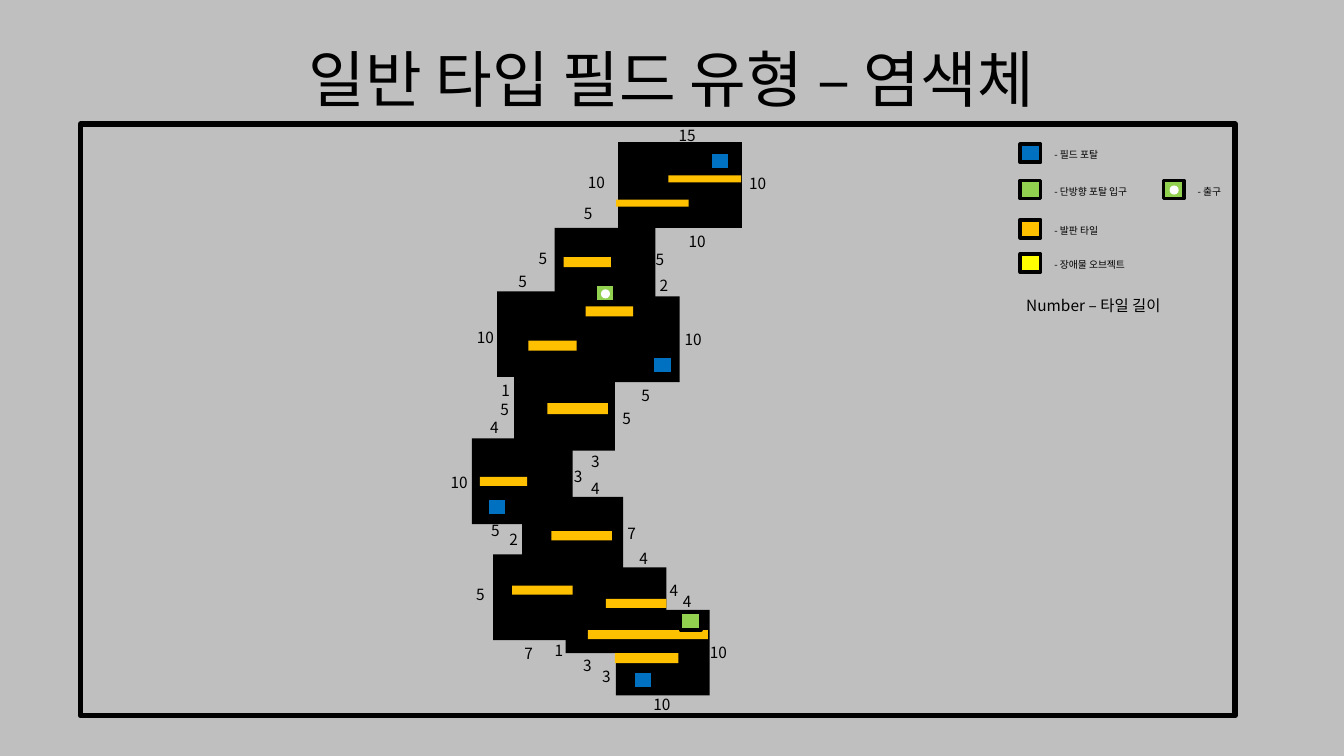
from dataclasses import dataclass

from lxml import etree
from pptx import Presentation
from pptx.dml.color import RGBColor
from pptx.enum.shapes import MSO_SHAPE
from pptx.enum.text import MSO_ANCHOR, MSO_AUTO_SIZE, PP_ALIGN
from pptx.oxml.ns import qn
from pptx.util import Inches, Pt

RECT, OVAL = MSO_SHAPE.RECTANGLE, MSO_SHAPE.OVAL
LEFT, MID = PP_ALIGN.LEFT, PP_ALIGN.CENTER
TOP, CENTER = MSO_ANCHOR.TOP, MSO_ANCHOR.MIDDLE
NO_FIT = MSO_AUTO_SIZE.NONE


@dataclass(frozen=True)
class Theme:
    font: str = "Noto Sans CJK KR"
    back: str = "BFBFBF"
    ink: str = "000000"
    portal: str = "0070C0"
    gate: str = "92D050"
    step: str = "FFC000"
    block: str = "FFFF00"
    dot: str = "FFFFFF"
    head: float = 44
    label: float = 11
    small: float = 7
    frame: float = 4
    edge: float = 2.75


THEME = Theme()

# Left, top, width, height within the map
ROOMS = [
    (2.13, 0.41, 1.23, 0.85), (1.5, 1.26, 1, 0.85), (1.74, 1.94, 1, 0.85),
    (1.1, 2.62, 1, 0.85), (0.68, 3.35, 1, 0.85), (1.18, 3.93, 1, 0.85),
    (1.61, 4.63, 1, 0.85), (2.11, 5.05, 0.93, 0.85),
    (0.93, 1.89, 0.93, 0.85), (0.89, 4.5, 1, 0.85),
]
STEPS = [
    (2.63, 0.74, 0.72, 0.07), (2.11, 0.98, 0.72, 0.07),
    (1.59, 1.55, 0.47, 0.1), (1.81, 2.04, 0.47, 0.1),
    (1.24, 2.38, 0.48, 0.1), (1.43, 3, 0.6, 0.11),
    (0.76, 3.73, 0.47, 0.09), (1.47, 4.27, 0.6, 0.09),
    (1.08, 4.81, 0.6, 0.09), (2.01, 4.94, 0.6, 0.09),
    (1.83, 5.25, 1.19, 0.09), (2.1, 5.48, 0.63, 0.1),
]
# Tile length, left, top within the map
SIZES = [
    (15, 2.63, 0.2), (10, 1.73, 0.67), (10, 3.33, 0.68), (5, 1.65, 0.98),
    (10, 2.73, 1.25), (5, 1.2, 1.42), (5, 2.36, 1.43), (5, 1, 1.65),
    (2, 2.4, 1.69), (10, 0.63, 2.21), (10, 2.69, 2.23), (1, 0.83, 2.73),
    (5, 2.22, 2.78), (5, 0.82, 2.92), (5, 2.03, 3.01), (4, 0.72, 3.1),
    (3, 1.72, 3.44), (3, 1.55, 3.58), (10, 0.37, 3.64), (4, 1.72, 3.7),
    (5, 0.73, 4.12), (7, 2.08, 4.15), (2, 0.91, 4.21), (4, 2.2, 4.4),
    (4, 2.5, 4.72), (5, 0.58, 4.76), (4, 2.63, 4.82), (1, 1.36, 5.31),
    (10, 2.94, 5.33), (7, 1.06, 5.34), (3, 1.64, 5.46), (3, 1.83, 5.57),
    (10, 2.38, 5.85),
]
PORTALS = [(3.04, 0.51), (2.47, 2.53), (0.83, 3.94), (2.28, 5.66)]
ENTRY, EXIT = (2.75, 5.07), (1.9, 1.82)


def rgb(code):
    return RGBColor.from_string(code)


def shape(parts, box, fill=None, line=None, width=0, kind=RECT):
    item = parts.add_shape(kind, *map(Inches, box))
    item.shadow.inherit = False
    if fill:
        item.fill.solid()
        item.fill.fore_color.rgb = rgb(fill)
    else:
        item.fill.background()
    if line:
        item.line.color.rgb = rgb(line)
        item.line.width = Pt(width)
    else:
        item.line.fill.background()
    return item


def write(item, text, size=THEME.label, align=LEFT, anchor=TOP, space=None):
    frame = item.text_frame
    frame.word_wrap = True
    frame.auto_size = NO_FIT
    frame.vertical_anchor = anchor
    para = frame.paragraphs[0]
    para.alignment = align
    para.line_spacing = space
    run = para.add_run()
    run.text = text
    run.font.name = THEME.font
    run.font.size = Pt(size)
    run.font.color.rgb = rgb(THEME.ink)
    etree.SubElement(run.font._element, qn("a:ea"), typeface=THEME.font)


def note(parts, box, text, **style):
    write(parts.add_textbox(*map(Inches, box)), text, **style)


def mark(parts, left, top, fill, dot=False):
    """Draw a framed tile, with a white dot if it is an exit."""
    shape(parts, (left, top, 0.2, 0.18), fill, THEME.ink, THEME.edge)
    if dot:
        shape(parts, (left + 0.06, top + 0.05, 0.09, 0.09), THEME.dot,
              kind=OVAL)


def title(slide, box):
    item = slide.shapes.title
    item.left, item.top, item.width, item.height = map(Inches, box)
    write(item, "일반 타입 필드 유형 – 염색체", size=THEME.head, align=MID,
          anchor=CENTER, space=0.9)


def field(slide, box):
    """Draw the chain of rooms with its steps, tiles and lengths."""
    x, y = box[:2]
    parts = slide.shapes
    rooms = parts.add_group_shape()
    for left, top, wide, high in ROOMS:
        shape(rooms.shapes, (x + left, y + top, wide, high), THEME.ink)
    for size, left, top in SIZES:
        note(parts, (x + left, y + top, 0.37, 0.29), str(size), align=MID)
    for left, top, wide, high in STEPS:
        shape(parts, (x + left, y + top, wide, high), THEME.step)
    for left, top in PORTALS:
        mark(parts, x + left, y + top, THEME.portal)
    mark(parts, x + ENTRY[0], y + ENTRY[1], THEME.gate)
    mark(parts, x + EXIT[0], y + EXIT[1], THEME.gate, dot=True)


def legend(slide, box):
    x, y = box[:2]
    parts = slide.shapes
    keys = [
        ("필드 포탈", THEME.portal, 0, 0, False),
        ("단방향 포탈 입구", THEME.gate, 0, 0.36, False),
        ("출구", THEME.gate, 1.42, 0.36, True),
        ("발판 타일", THEME.step, 0, 0.75, False),
        ("장애물 오브젝트", THEME.block, 0, 1.09, False),
    ]
    for name, fill, left, top, dot in keys:
        mark(parts, x + left, y + top, fill, dot)
        note(parts, (x + left + 0.24, y + top, 1.3, 0.22), f"- {name}",
             size=THEME.small)
    note(parts, (x - 0.04, y + 1.46, 1.63, 0.29), "Number – 타일 길이")


def main():
    deck = Presentation()
    deck.slide_width, deck.slide_height = Inches(13.33), Inches(7.5)
    slide = deck.slides.add_slide(deck.slide_layouts[5])
    slide.background.fill.solid()
    slide.background.fill.fore_color.rgb = rgb(THEME.back)
    title(slide, (0.29, 0.2, 12.74, 1.24))
    shape(slide.shapes, (0.8, 1.23, 11.45, 5.87), line=THEME.ink,
          width=THEME.frame)
    field(slide, (4, 1, 4, 6))
    legend(slide, (10.12, 1.43, 2, 1.8))
    deck.save("out.pptx")


if __name__ == "__main__":
    main()
